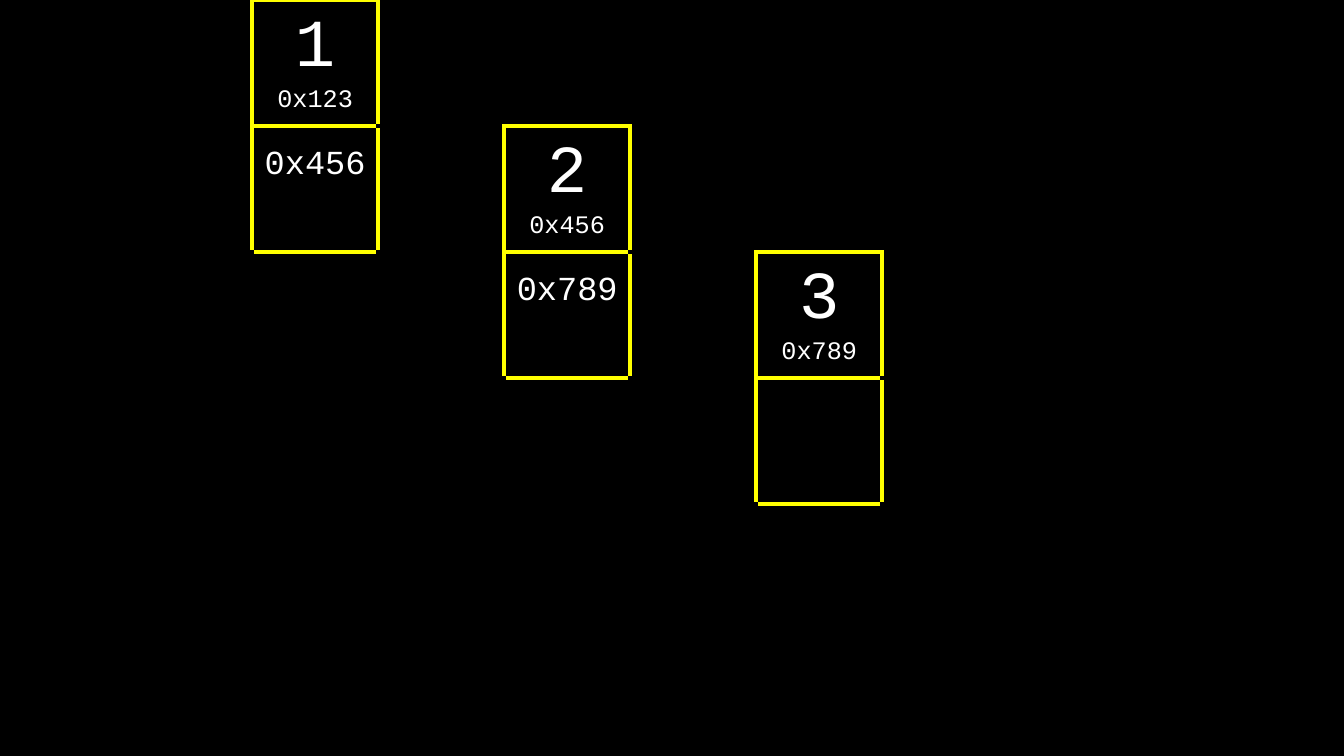
"""Build a slide showing a three-node linked list in a memory grid."""
from lxml import etree
from pptx import Presentation
from pptx.dml.color import RGBColor
from pptx.enum.text import MSO_ANCHOR, PP_ALIGN
from pptx.oxml.ns import qn
from pptx.util import Inches, Pt

MIDDLE, TOP = MSO_ANCHOR.MIDDLE, MSO_ANCHOR.TOP
CENTER = PP_ALIGN.CENTER

NODES = [
    ("1", "0x123", "0x456"),
    ("2", "0x456", "0x789"),
    ("3", "0x789", ""),
]

BLACK = RGBColor(0x00, 0x00, 0x00)
WHITE = RGBColor(0xFF, 0xFF, 0xFF)
YELLOW = RGBColor(0xFF, 0xFF, 0x00)
FONT = "Courier New"
ROWS, COLUMNS = 5, 8
CELL_SIZE = Inches(1.25)
BORDER_WIDTH = Pt(3)
SIDES = {"a:lnL": (0, -1), "a:lnR": (0, 1), "a:lnT": (-1, 0), "a:lnB": (1, 0)}


def write_cell(cell, lines, anchor, top_margin):
    """Write (text, size) lines centred in a cell."""
    cell.vertical_anchor = anchor
    cell.margin_left = cell.margin_right = cell.margin_bottom = Inches(0.1)
    cell.margin_top = Inches(top_margin)
    frame = cell.text_frame
    for index, (text, size) in enumerate(lines):
        paragraph = frame.add_paragraph() if index else frame.paragraphs[0]
        paragraph.text = text
        paragraph.alignment = CENTER
        paragraph.font.name = FONT
        paragraph.font.size = Pt(size)
        paragraph.font.color.rgb = WHITE


def draw_borders(cell, colors):
    """Give the four sides of a cell solid lines."""
    properties = cell._tc.get_or_add_tcPr()
    for index, (side, color) in enumerate(zip(SIDES, colors)):
        line = etree.Element(qn(side), w=str(BORDER_WIDTH))
        fill = etree.SubElement(line, qn("a:solidFill"))
        etree.SubElement(fill, qn("a:srgbClr"), val=str(color))
        properties.insert(index, line)


def main():
    """Create the slide and save it."""
    presentation = Presentation()
    presentation.slide_width = Inches(13.33)
    presentation.slide_height = Inches(7.5)
    slide = presentation.slides.add_slide(presentation.slide_layouts[6])
    slide.background.fill.solid()
    slide.background.fill.fore_color.rgb = BLACK

    table = slide.shapes.add_table(
        ROWS, COLUMNS, 0, 0, COLUMNS * CELL_SIZE, ROWS * CELL_SIZE).table
    table.first_row = table.horz_banding = False
    for track in table.columns:
        track.width = CELL_SIZE
    for track in table.rows:
        track.height = CELL_SIZE

    node_cells = set()
    for index, (value, address, pointer) in enumerate(NODES):
        row, column = index, 2 + 2 * index
        node_cells |= {(row, column), (row + 1, column)}
        write_cell(table.cell(row, column), [(value, 48), (address, 18)], MIDDLE, 0.1)
        if pointer:
            write_cell(table.cell(row + 1, column), [(pointer, 24)], TOP, 0.2)

    for row in range(ROWS):
        for column in range(COLUMNS):
            cell = table.cell(row, column)
            cell.fill.background()
            draw_borders(cell, [
                YELLOW if node_cells & {(row, column), (row + down, column + right)} else BLACK
                for down, right in SIDES.values()])

    presentation.save("out.pptx")


if __name__ == "__main__":
    main()
